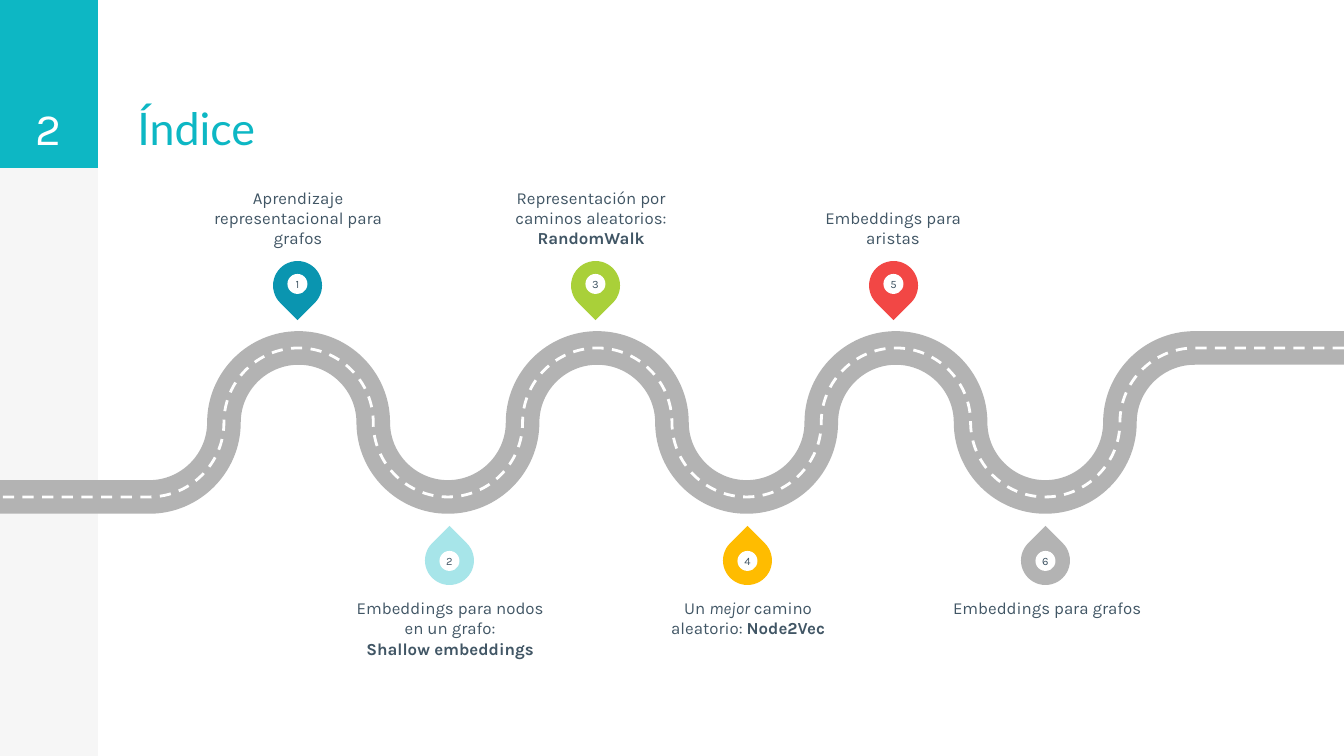
"""Build the index slide: a winding road with six numbered pins and captions."""
from lxml import etree
from pptx import Presentation, util as u
from pptx.dml.color import RGBColor
from pptx.enum import dml, shapes, text
from pptx.oxml.ns import qn

SCALE = 9144000 / 1344
WIDTH, HEIGHT = 1344, 756
COLORS = {
    "teal": "0DB7C4", "panel": "F6F6F6", "white": "FFFFFF", "ink": "415665",
    "road": "B3B3B3", "blue": "0A95B0", "aqua": "A7E5E9", "green": "A9D039",
    "amber": "FFBC00", "red": "F24745",
}
TITLE = "Índice"
PAGE = "2"
STOPS = [
    ("blue", 273, 203, [[("Aprendizaje representacional para grafos", "")]]),
    ("aqua", 425, 355, [[("Embeddings para nodos en un grafo:", "")],
                        [("Shallow embeddings", "b")]]),
    ("green", 571, 496, [[("Representación por caminos aleatorios:", "")],
                         [("RandomWalk", "b")]]),
    ("amber", 723, 653, [[("Un ", ""), ("mejor", "i"), (" camino aleatorio: ", ""),
                          ("Node2Vec", "b")]]),
    ("red", 869, 798, [[("Embeddings para aristas", "")]]),
    ("road", 1021, 952, [[("Embeddings para grafos", "")]]),
]
SIDEBAR, HEADER = 98, 168
ROAD_TOP, ROAD_BOTTOM, QUARTERS, CURVE = 348, 497, 14, 0.55
PIN, DOT, CAPTION_W, CAPTION_H = 49, 20, 190, 78
ABOVE = {"pin": 261, "dot": 274, "caption": 170, "turn": 135, "anchor": text.MSO_ANCHOR.BOTTOM}
BELOW = {"pin": 536, "dot": 551, "caption": 598, "turn": 315, "anchor": text.MSO_ANCHOR.TOP}


def px(*values):
    return [u.Emu(round(v * SCALE)) for v in values]


def rgb(name):
    return RGBColor.from_string(COLORS[name])


def write(sp, paragraphs, size, color, anchor, inset=0, font="Karla",
          align=text.PP_ALIGN.CENTER):
    tf = sp.text_frame
    tf.word_wrap = True
    tf.auto_size = text.MSO_AUTO_SIZE.NONE
    tf.vertical_anchor = anchor
    tf.margin_left = tf.margin_right = tf.margin_top = tf.margin_bottom = u.Inches(inset)
    for i, runs in enumerate(paragraphs):
        p = tf.add_paragraph() if i else tf.paragraphs[0]
        p.alignment = align
        for words, style in runs:
            r = p.add_run()
            r.text = words
            r.font.name, r.font.size = font, u.Pt(size)
            r.font.bold, r.font.italic = style == "b", style == "i"
            r.font.color.rgb = rgb(color)


def add_filled(parent, kind, box, color):
    sp = parent.add_shape(kind, *px(*box))
    sp.shadow.inherit = False
    sp.fill.solid()
    sp.fill.fore_color.rgb = rgb(color)
    sp.line.fill.background()
    return sp


def road_points():
    step = WIDTH / (QUARTERS + 4)
    middle = (ROAD_TOP + ROAD_BOTTOM) / 2
    heights = (ROAD_TOP, middle, ROAD_BOTTOM, middle)
    bends = [(WIDTH - step * (i + 2), heights[i % 4]) for i in range(QUARTERS + 1)]
    return [tuple(px(*pt)) for pt in [(WIDTH, ROAD_TOP), *bends, (0, ROAD_BOTTOM)]]


def round_bends(sp):
    nodes = list(sp.element.iter(qn("a:moveTo"), qn("a:lnTo")))
    ends = [(int(n[0].get("x")), int(n[0].get("y"))) for n in nodes]
    for i in range(QUARTERS):
        (x0, y0), (x1, y1) = ends[i + 1:i + 3]
        dx, dy = CURVE * (x1 - x0), CURVE * (y1 - y0)
        if i % 2:
            controls = [(x0, y0 + dy), (x1 - dx, y1)]
        else:
            controls = [(x0 + dx, y0), (x1, y1 - dy)]
        curve = etree.Element(qn("a:cubicBezTo"))
        for x, y in [*controls, (x1, y1)]:
            etree.SubElement(curve, qn("a:pt"), x=str(round(x)), y=str(round(y)))
        line = nodes[i + 2]
        line.getparent().replace(line, curve)


def add_road(parent, color, width, dash=None):
    start, *rest = road_points()
    builder = parent.build_freeform(*start)
    builder.add_line_segments(rest, close=False)
    sp = builder.convert_to_shape()
    round_bends(sp)
    sp.shadow.inherit = False
    sp.fill.background()
    sp.line.color.rgb = rgb(color)
    sp.line.width = u.Pt(width)
    if dash:
        sp.line.dash_style = dash


def add_stop(parent, number, color, pin_left, caption_left, caption):
    place = ABOVE if number % 2 else BELOW
    group = parent.add_group_shape().shapes
    pin = add_filled(group, shapes.MSO_SHAPE.TEAR,
                     (pin_left, place["pin"], PIN, PIN), color)
    pin.rotation = place["turn"]
    dot = add_filled(group, shapes.MSO_SHAPE.OVAL,
                     (pin_left + (PIN - DOT) / 2, place["dot"], DOT, DOT), "white")
    write(dot, [[(str(number), "")]], 6, "ink", text.MSO_ANCHOR.MIDDLE)
    box = parent.add_textbox(*px(caption_left, place["caption"], CAPTION_W, CAPTION_H))
    write(box, caption, 9, "ink", place["anchor"])


def main():
    prs = Presentation()
    prs.slide_width, prs.slide_height = px(WIDTH, HEIGHT)
    s = prs.slides.add_slide(prs.slide_layouts[5])
    title = s.shapes.title
    title.left, title.top, title.width, title.height = px(124, 0, 523, HEADER)
    write(title, [[(TITLE, "")]], 24, "teal", text.MSO_ANCHOR.BOTTOM, 0.1, "Lato",
          text.PP_ALIGN.LEFT)
    for height, color in ((HEIGHT, "panel"), (HEADER, "teal")):
        bar = add_filled(s.shapes, shapes.MSO_SHAPE.RECTANGLE, (0, 0, SIDEBAR, height), color)
        title.element.addprevious(bar.element)
    page = s.shapes.add_textbox(*px(0, 0, SIDEBAR, HEADER))
    write(page, [[(PAGE, "")]], 24, "white", text.MSO_ANCHOR.BOTTOM, 0.1)
    add_road(s.shapes, "road", 18)
    add_road(s.shapes, "white", 1.5, dml.MSO_LINE.DASH)
    for number, stop in enumerate(STOPS, 1):
        add_stop(s.shapes, number, *stop)
    prs.save("out.pptx")


if __name__ == "__main__":
    main()
